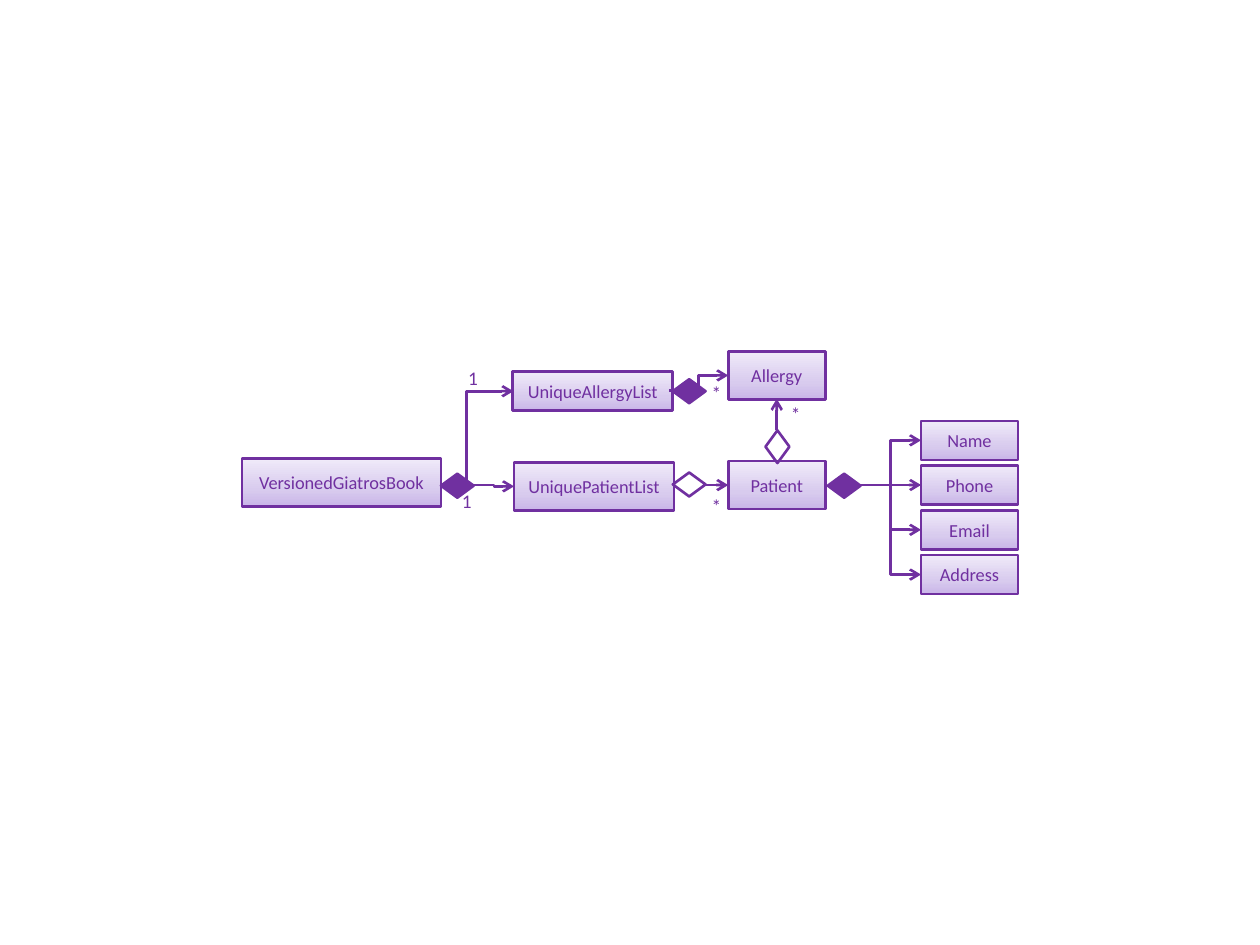
import copy
from dataclasses import dataclass

import lxml.etree
import pptx
import pptx.dml.color
import pptx.enum.shapes
import pptx.enum.text
import pptx.oxml.ns
import pptx.util

Inches = pptx.util.Inches
Preset = pptx.enum.shapes.MSO_SHAPE
qn = pptx.oxml.ns.qn


@dataclass(frozen=True)
class Theme:
    ink: pptx.dml.color.RGBColor = pptx.dml.color.RGBColor.from_string("7030A0")
    gradient: tuple = ("C9B5E8", "D8CBEE", "F0EAF9")
    font: str = "Calibri"
    class_size: float = 10.5
    multiplicity_size: float = 11
    line_width: float = 1.5


theme = Theme()


def write(shape, text, size):
    shape.text_frame.text = text
    paragraph = shape.text_frame.paragraphs[0]
    paragraph.alignment = pptx.enum.text.PP_ALIGN.CENTER
    font = paragraph.runs[0].font
    font.name = theme.font
    font.size = pptx.util.Pt(size)
    font.color.rgb = theme.ink


def outline(shape):
    shape.line.color.rgb = theme.ink
    shape.line.width = pptx.util.Pt(theme.line_width)


deck = pptx.Presentation()
deck.slide_width = Inches(10)
deck.slide_height = Inches(7.5)
slide = deck.slides.add_slide(deck.slide_layouts[6])
shapes = slide.shapes

part_left, part_top, part_pitch, part_height = 7.31, 3.34, 0.355, 0.31
parts = ["Name", "Phone", "Email", "Address"]

classes = [
    ("VersionedGiatrosBook", 1.92, 3.64, 1.58, 0.38),
    ("UniquePatientList", 4.08, 3.67, 1.27, 0.38),
    ("UniqueAllergyList", 4.07, 2.95, 1.27, 0.31),
    ("Patient", 5.78, 3.66, 0.77, 0.38),
    ("Allergy", 5.78, 2.79, 0.77, 0.38),
]
associations = [
    (3.76, 3.85, 4.08, 3.86, 0, "bentConnector3"),
    (5.6, 3.85, 5.78, 3.85, 0, "bentConnector3"),
    (4.28, 3.68, 3.5, 3.31, 90, "bentConnector2"),
    (5.31, 3.1, 5.78, 2.98, 0, "bentConnector3"),
    (6.04, 3.29, 6.29, 3.29, 270, "bentConnector3"),
]
for index, part in enumerate(parts):
    top = part_top + index * part_pitch
    classes.append((part, part_left, top, 0.77, part_height))
    associations.append(
        (6.83, 3.85, part_left, top + part_height / 2, 0, "bentConnector3")
    )

for name, left, top, width, height in classes:
    class_box = shapes.add_shape(
        Preset.RECTANGLE, Inches(left), Inches(top), Inches(width), Inches(height)
    )
    class_box.shadow.inherit = False
    class_box.fill.gradient()
    class_box.fill.gradient_angle = 90
    stops = class_box._element.spPr.find(".//" + qn("a:gsLst"))
    stops.insert(1, copy.deepcopy(stops[0]))
    for stop, position, color in zip(
        class_box.fill.gradient_stops, (0, 0.35, 1), theme.gradient
    ):
        stop.position = position
        stop.color.rgb = pptx.dml.color.RGBColor.from_string(color)
    outline(class_box)
    class_box.text_frame.vertical_anchor = pptx.enum.text.MSO_ANCHOR.MIDDLE
    write(class_box, name, theme.class_size)

for start_x, start_y, end_x, end_y, rotation, route in associations:
    association = shapes.add_connector(
        pptx.enum.shapes.MSO_CONNECTOR.ELBOW,
        Inches(start_x), Inches(start_y), Inches(end_x), Inches(end_y),
    )
    outline(association)
    properties = association._element.spPr
    properties.find(qn("a:prstGeom")).set("prst", route)
    if rotation:
        properties.find(qn("a:xfrm")).set("rot", str(rotation * 60000))
    arrowhead = lxml.etree.SubElement(properties.find(qn("a:ln")), qn("a:tailEnd"))
    arrowhead.set("type", "arrow")
    lxml.etree.SubElement(properties, qn("a:effectLst"))

for left, top, rotation, is_composition in [
    (3.5, 3.76, 0, True),
    (5.34, 3.75, 0, False),
    (6.57, 3.76, 0, True),
    (6.04, 3.45, 270, False),
    (5.34, 3.01, 0, True),
]:
    diamond = shapes.add_shape(
        Preset.FLOWCHART_DECISION,
        Inches(left), Inches(top), Inches(0.26), Inches(0.19),
    )
    diamond.shadow.inherit = False
    diamond.rotation = rotation
    if is_composition:
        diamond.fill.solid()
        diamond.fill.fore_color.rgb = theme.ink
    else:
        diamond.fill.background()
    outline(diamond)

for text, left, top in [
    ("1", 3.65, 2.91),
    ("1", 3.6, 3.88),
    ("*", 5.58, 3.03),
    ("*", 5.58, 3.92),
    ("*", 6.21, 3.19),
]:
    multiplicity = shapes.add_textbox(
        Inches(left), Inches(top), Inches(0.21), Inches(0.2)
    )
    frame = multiplicity.text_frame
    frame.word_wrap = True
    frame.margin_left = frame.margin_right = 0
    frame.margin_top = frame.margin_bottom = 0
    write(multiplicity, text, theme.multiplicity_size)

deck.save("out.pptx")
